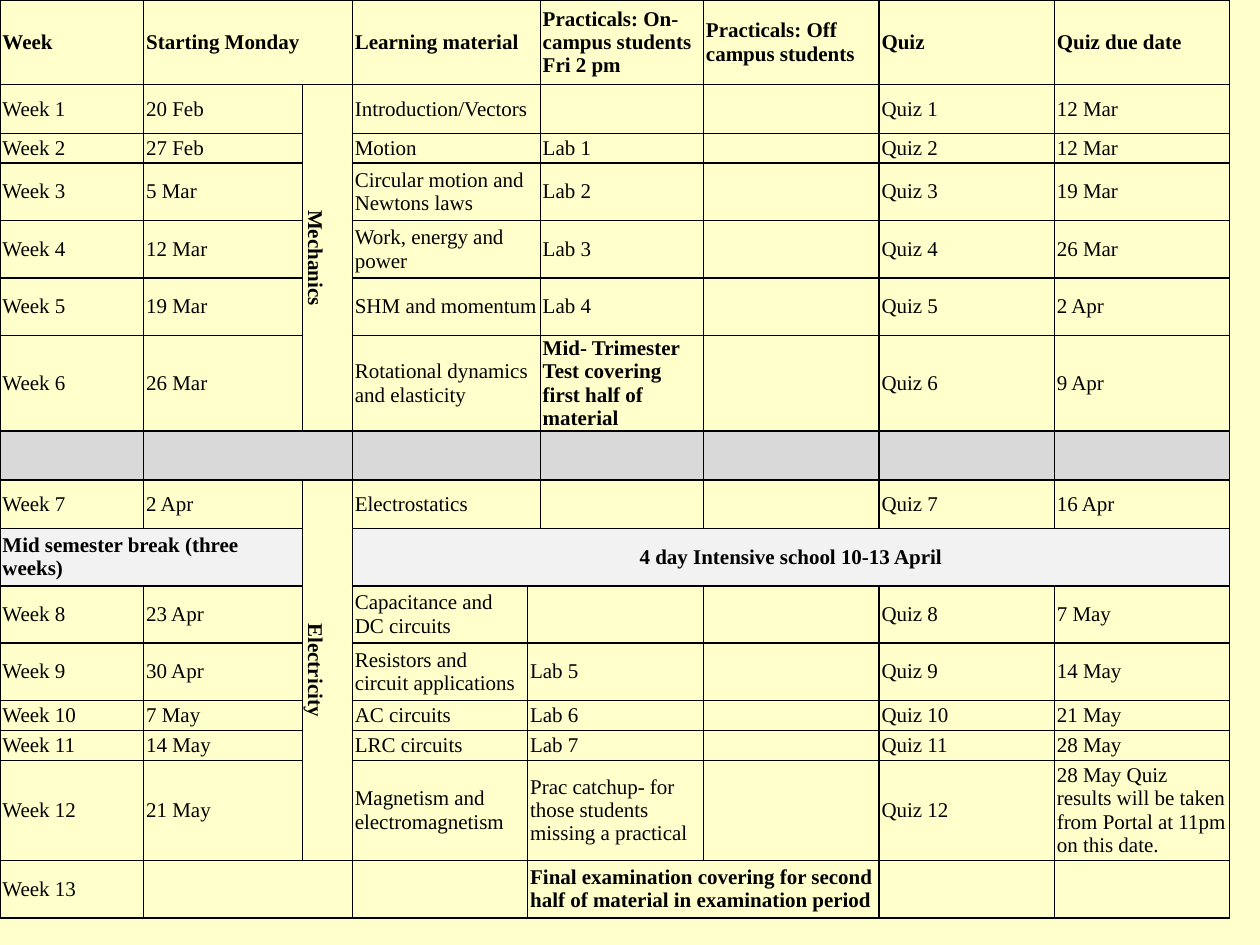
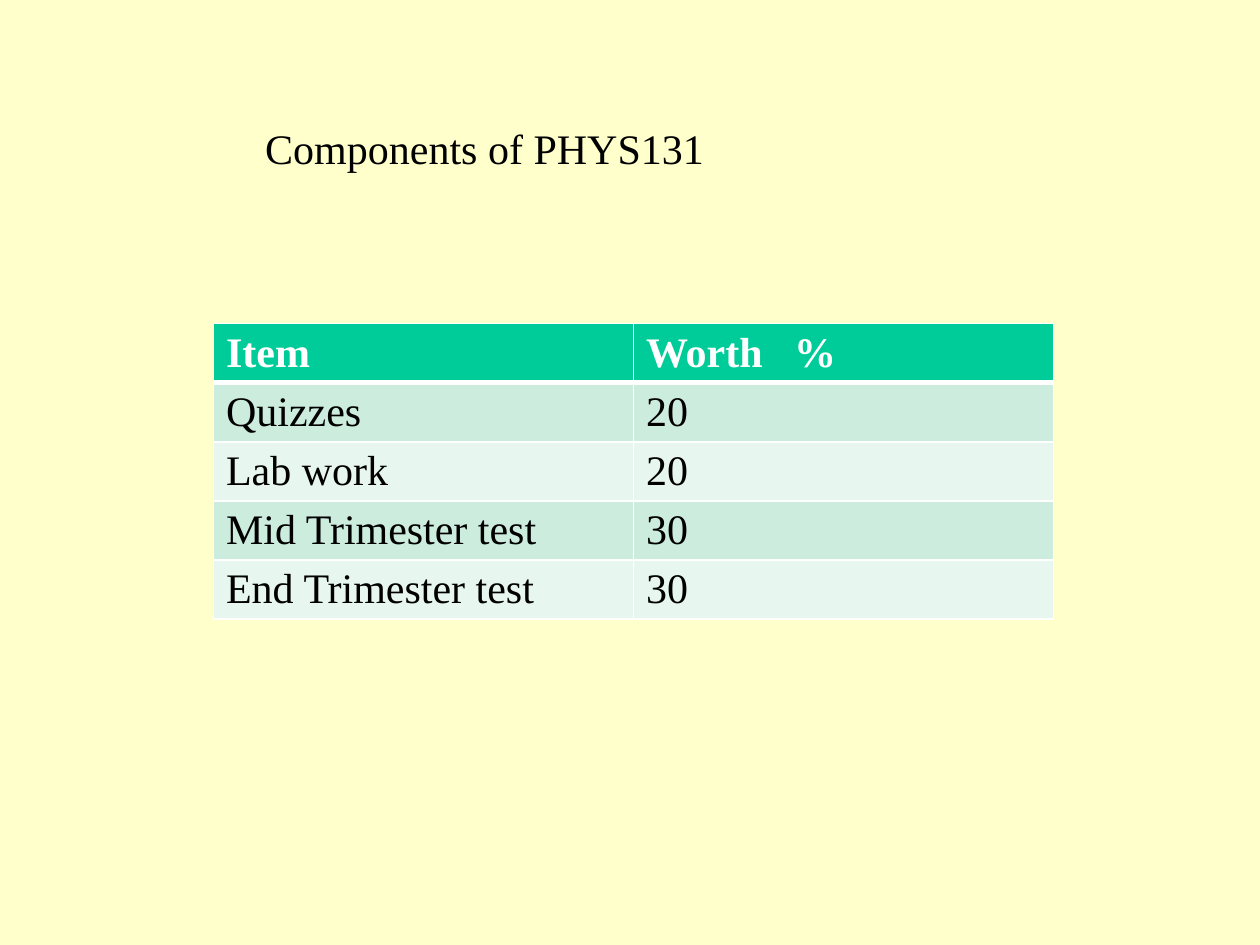
import pptx
import pptx.util
import pptx.dml.color
import pptx.enum.text
import pptx.oxml.ns
import lxml.etree

Pt = pptx.util.Pt
qn = pptx.oxml.ns.qn
ANCHOR = pptx.enum.text.MSO_ANCHOR
ALIGN = pptx.enum.text.PP_ALIGN

FACE = "Times New Roman"
CREAM, BLACK, WHITE = "FFFFCC", "000000", "FFFFFF"
GREEN, MINT, PALE = "00CC99", "CCECDE", "E7F6EF"
GREY, LIGHT = "D9D9D9", "F2F2F2"

COLS = [82.1, 90.7, 28.6, 100.2, 7.2, 93.3, 100.3, 100.2, 100.2]
TALL, LOW, MID, TWO = 48.4, 17.1, 27.8, 32.8
ROWS = [TALL, MID, LOW, TWO, TWO, TWO, 54.5, MID,
        MID, TWO, TWO, TWO, LOW, LOW, 57.2, TWO]

LEFT, ABOVE, BOLD = "<", "^", "*"
PLAN = [
    "*Week|*Starting Monday|<|*Learning material|<"
    "|*Practicals: On-campus students Fri 2 pm"
    "|*Practicals: Off campus students|*Quiz|*Quiz due date",
    "Week 1|20 Feb|*Mechanics|Introduction/Vectors|<|||Quiz 1|12 Mar",
    "Week 2|27 Feb|^|Motion|<|Lab 1||Quiz 2|12 Mar",
    "Week 3|5 Mar|^|Circular motion and Newtons laws|<|Lab 2||Quiz 3|19 Mar",
    "Week 4|12 Mar|^|Work, energy and power|<|Lab 3||Quiz 4|26 Mar",
    "Week 5|19 Mar|^|SHM and momentum|<|Lab 4||Quiz 5|2 Apr",
    "Week 6|26 Mar|^|Rotational dynamics and elasticity|<"
    "|*Mid- Trimester Test covering first half of material||Quiz 6|9 Apr",
    "||<||<||||",
    "Week 7|2 Apr|*Electricity|Electrostatics|<|||Quiz 7|16 Apr",
    "*Mid semester break (three weeks)|<|^"
    "|*4 day Intensive school 10-13 April|<|<|<|<|<",
    "Week 8|23 Apr|^|Capacitance and DC circuits||<||Quiz 8|7 May",
    "Week 9|30 Apr|^|Resistors and circuit applications|Lab 5|<"
    "||Quiz 9|14 May",
    "Week 10|7 May|^|AC circuits|Lab 6|<||Quiz 10|21 May",
    "Week 11|14 May|^|LRC circuits|Lab 7|<||Quiz 11|28 May",
    "Week 12|21 May|^|Magnetism and electromagnetism"
    "|Prac catchup- for those students missing a practical|<||Quiz 12"
    "|28 May Quiz results will be taken from Portal at 11pm on this date.",
    "Week 13||<||*Final examination covering for second half of material"
    " in examination period|<|<||",
]

MARKS = [("Item", "Worth   %"), ("Quizzes", "20"), ("Lab work", "20"),
         ("Mid Trimester test", "30"), ("End Trimester test", "30")]


def tint(code):
    return pptx.dml.color.RGBColor.from_string(code)


def apply(thing, form):
    for name, value in form.items():
        setattr(thing, name, value)


def write(frame, text, size, code=BLACK, bold=False):
    para = frame.paragraphs[0]
    if not text:
        lxml.etree.SubElement(para._p, qn("a:endParaRPr"), sz=str(size * 100))
        return
    run = para.add_run()
    run.text = text
    apply(run.font, {"name": FACE, "size": Pt(size), "bold": bold})
    run.font.color.rgb = tint(code)


def paint(cell, code):
    if code:
        cell.fill.solid()
        cell.fill.fore_color.rgb = tint(code)
    else:
        cell.fill.background()


def edge(cell, code, top=1, base=1):
    props = cell._tc.get_or_add_tcPr()
    for spot, (side, width) in enumerate(
            {"L": 1, "R": 1, "T": top, "B": base}.items()):
        line = lxml.etree.Element(qn("a:ln" + side), w=str(int(Pt(width))))
        fill = lxml.etree.SubElement(line, qn("a:solidFill"))
        lxml.etree.SubElement(fill, qn("a:srgbClr"), val=code)
        props.insert(spot, line)


def grid(slide, left, top, cols, rows):
    table = slide.shapes.add_table(
        len(rows), len(cols), Pt(left), Pt(top),
        Pt(sum(cols)), Pt(sum(rows))).table
    apply(table, {"first_row": False, "horz_banding": False})
    for col, width in zip(table.columns, cols):
        col.width = Pt(width)
    for row, height in zip(table.rows, rows):
        row.height = Pt(height)
    return table


def reach(items, mark):
    count = 0
    while count < len(items) and items[count] == mark:
        count += 1
    return count


def weeks(slide, left, top):
    table = grid(slide, left, top, COLS, ROWS)
    plan = [line.split("|") for line in PLAN]
    form = {"margin_left": Pt(1.44), "margin_right": Pt(1.44),
            "margin_top": Pt(0.72), "margin_bottom": Pt(0.72),
            "vertical_anchor": ANCHOR.MIDDLE}
    shade = {7: GREY, 9: LIGHT}
    for r, line in enumerate(plan):
        for c, text in enumerate(line):
            cell = table.cell(r, c)
            apply(cell, form)
            paint(cell, None if text == ABOVE else shade.get(r))
            edge(cell, BLACK)
            if text in (LEFT, ABOVE):
                write(cell.text_frame, "", 12)
                continue
            write(cell.text_frame, text.lstrip(BOLD), 12,
                  bold=text.startswith(BOLD))
            wide = reach(line[c + 1:], LEFT)
            deep = reach([row[c] for row in plan[r + 1:]], ABOVE)
            if wide or deep:
                cell.merge(table.cell(r + deep, c + wide))
            if deep:
                cell._tc.get_or_add_tcPr().set("vert", "vert")
            if deep or wide > 2:
                cell.text_frame.paragraphs[0].alignment = ALIGN.CENTER


def marks(slide, left, top):
    table = grid(slide, left, top, [240] * 2, [33.7] * len(MARKS))
    for r, line in enumerate(MARKS):
        head = r == 0
        for c, text in enumerate(line):
            cell = table.cell(r, c)
            paint(cell, GREEN if head else MINT if r % 2 else PALE)
            edge(cell, WHITE, 3 if r == 1 else 1, 3 if head else 1)
            write(cell.text_frame, text, 24, WHITE if head else BLACK, head)


def title(slide, left, top, width, height):
    box = slide.shapes.add_textbox(Pt(left), Pt(top), Pt(width), Pt(height))
    box.text_frame.word_wrap = False
    write(box.text_frame, "Components of PHYS131", 24)


def main():
    deck = pptx.Presentation()
    apply(deck, {"slide_width": Pt(720), "slide_height": Pt(540)})
    back = deck.slide_master.background.fill
    back.solid()
    back.fore_color.rgb = tint(CREAM)
    blank = deck.slide_layouts[6]
    weeks(deck.slides.add_slide(blank), 0, 0)
    slide = deck.slides.add_slide(blank)
    marks(slide, 122, 185)
    title(slide, 144.5, 66.3, 268, 36)
    deck.save("out.pptx")


if __name__ == "__main__":
    main()
